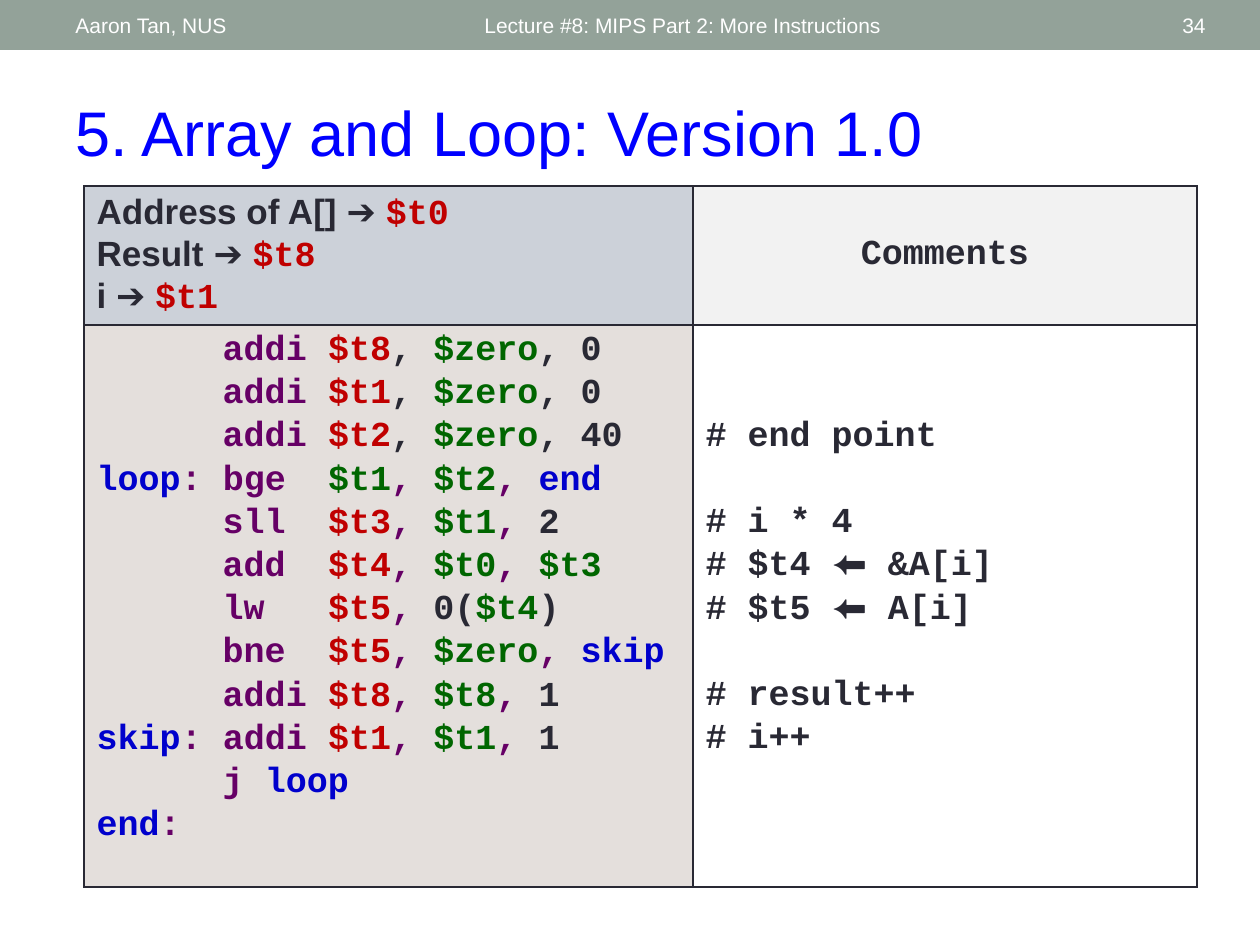
"""Build a lecture slide that pairs a MIPS array loop with its comments."""
from lxml import etree
from pptx import Presentation
from pptx.dml.color import RGBColor
from pptx.enum.shapes import MSO_SHAPE
from pptx.enum.text import MSO_ANCHOR, PP_ALIGN
from pptx.oxml.ns import qn
from pptx.util import Pt

LEFT, CENTER, RIGHT = PP_ALIGN.LEFT, PP_ALIGN.CENTER, PP_ALIGN.RIGHT
TOP, MIDDLE = MSO_ANCHOR.TOP, MSO_ANCHOR.MIDDLE
RECTANGLE = MSO_SHAPE.RECTANGLE
PX = 914400 / 126
THEME = {
    "sans": "Arial", "mono": "Courier New",
    "bar_size": 12, "title_size": 36, "code_size": 20,
    "line_gap": 2, "line_pitch": 24.65,
    "bar": "93A299", "white": "FFFFFF", "title": "0000FF",
    "ink": "292934", "register_fill": "CCD1D9", "heading_fill": "F2F2F2",
    "code_fill": "E4DFDC",
    "span": {"a": "292934", "k": "292934", "p": "660066", "r": "C00000",
             "g": "006600", "b": "0000CC"},
}


def px(length):
    return round(length * PX)


def write(para, text, keys):
    for part, key in zip(text.split("|"), keys):
        span = para.add_run()
        span.text = part
        span.font.name = THEME["sans"] if key == "a" else THEME["mono"]
        span.font.size = Pt(THEME["code_size"])
        span.font.bold = True
        span.font.color.rgb = RGBColor.from_string(THEME["span"][key])


deck = Presentation()
deck.slide_width, deck.slide_height = px(1260), px(945)
page = deck.slides.add_slide(deck.slide_layouts[6])

bar = page.shapes.add_shape(RECTANGLE, 0, 0, px(1260), px(50))
bar.shadow.inherit = False
bar.fill.solid()
bar.fill.fore_color.rgb = RGBColor.from_string(THEME["bar"])
bar.line.fill.background()

labels = [
    ("Lecture #8: MIPS Part 2: More Instructions", (472, 3, 567, 45), 6, "bar_size", "white", LEFT, MIDDLE),
    ("Aaron Tan, NUS", (63, 3, 399, 45), 6, "bar_size", "white", LEFT, MIDDLE),
    ("5. Array and Loop: Version 1.0", (63, 81, 1155, 89), 13, "title_size", "title", LEFT, TOP),
    ("34", (1098, 3, 120, 45), 6, "bar_size", "white", RIGHT, MIDDLE),
]
for text, place, inset, size, color, align, anchor in labels:
    box = page.shapes.add_textbox(*map(px, place))
    frame = box.text_frame
    frame.word_wrap = True
    frame.margin_top = px(inset)
    frame.vertical_anchor = anchor
    frame.text = text
    para = frame.paragraphs[0]
    para.alignment = align
    font = para.runs[0].font
    font.name, font.size = THEME["sans"], Pt(THEME[size])
    font.color.rgb = RGBColor.from_string(THEME[color])

table = page.shapes.add_table(2, 2, px(84), px(186), px(1113), px(701)).table
table.first_row = table.horz_banding = False
for column, width in zip(table.columns, (609, 504)):
    column.width = px(width)
for row, height in zip(table.rows, (139, 562)):
    row.height = px(height)

fills = ["register_fill", "heading_fill", "code_fill", "white"]
for cell, fill in zip(table.iter_cells(), fills):
    properties = cell._tc.get_or_add_tcPr()
    for side in ("lnL", "lnR", "lnT", "lnB"):
        border = etree.SubElement(properties, qn(f"a:{side}"), w=str(Pt(1)))
        paint = etree.SubElement(border, qn("a:solidFill"))
        etree.SubElement(paint, qn("a:srgbClr"), val=THEME["ink"])
    cell.fill.solid()
    cell.fill.fore_color.rgb = RGBColor.from_string(THEME[fill])

registers = [("Address of A[] ➔ |$t0", "ar"), ("Result ➔ |$t8", "ar"), ("i ➔ |$t1", "ar")]
code = [
    ("      addi |$t8|, |$zero|, 0", "prkgk"),
    ("      addi |$t1|, |$zero|, 0", "prkgk"),
    ("      addi |$t2|, |$zero|, 40", "prkgk"),
    ("loop|: bge  |$t1|, |$t2|, |end", "bpgpgpb"),
    ("      sll  |$t3|, |$t1|, |2", "prpgpk"),
    ("      add  |$t4|, |$t0|, |$t3", "prpgpg"),
    ("      lw   |$t5|, |0(|$t4|)", "prpkgk"),
    ("      bne  |$t5|, |$zero|, |skip", "prpgpb"),
    ("      addi |$t8|, |$t8|, |1", "prpgpk"),
    ("skip|: addi |$t1|, |$t1|, |1", "bprpgpk"),
    ("      j |loop", "pb"),
    ("end|:", "bp"),
]
comments = {2: "# end point", 4: "# i * 4", 5: "# $t4 ⬅ &A[i]",
            6: "# $t5 ⬅ A[i]", 8: "# result++", 9: "# i++"}

for cell, lines, gap in ((table.cell(0, 0), registers, 0),
                         (table.cell(1, 0), code, THEME["line_gap"])):
    for index, (text, keys) in enumerate(lines):
        para = cell.text_frame.add_paragraph() if index else cell.text_frame.paragraphs[0]
        para.space_before = Pt(gap if index else 0)
        write(para, text, keys)

heading = table.cell(0, 1)
heading.vertical_anchor = MIDDLE
heading.text_frame.paragraphs[0].alignment = CENTER
write(heading.text_frame.paragraphs[0], "Comments", "k")

notes = table.cell(1, 1)
first = previous = min(comments)
notes.margin_top = px(6) + Pt(first * THEME["line_pitch"])
for line, text in comments.items():
    if line == first:
        para = notes.text_frame.paragraphs[0]
    else:
        para = notes.text_frame.add_paragraph()
        skipped = line - previous - 1
        para.space_before = Pt(THEME["line_gap"] + skipped * THEME["line_pitch"])
    write(para, text, "k")
    previous = line

deck.save("out.pptx")
